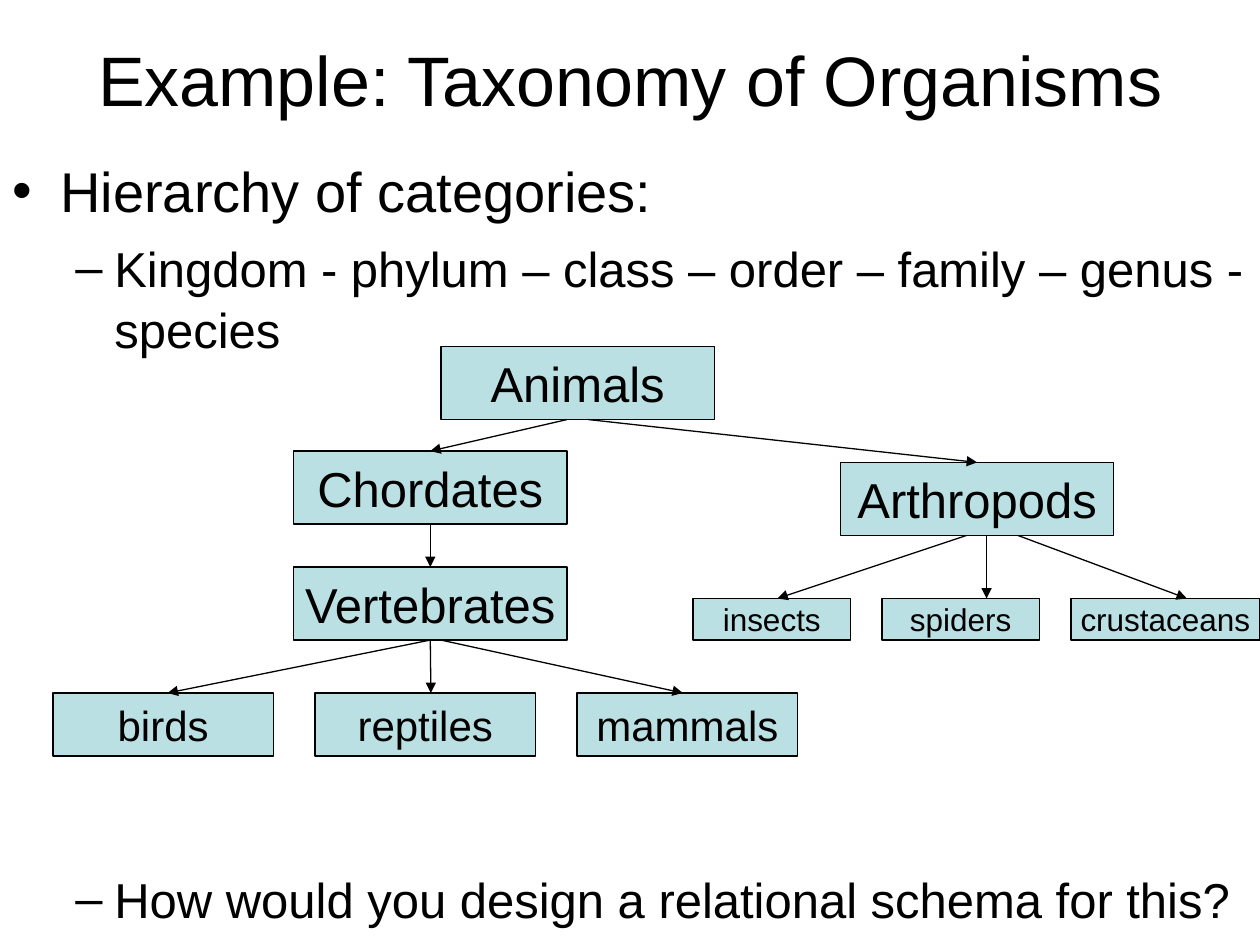
from lxml import etree
from pptx import Presentation
from pptx.dml.color import RGBColor
from pptx.enum.shapes import MSO_CONNECTOR, MSO_SHAPE
from pptx.enum.text import MSO_ANCHOR, PP_ALIGN
from pptx.oxml.ns import qn
from pptx.util import Inches, Pt

STRAIGHT = MSO_CONNECTOR.STRAIGHT
RECTANGLE = MSO_SHAPE.RECTANGLE
MIDDLE = MSO_ANCHOR.MIDDLE
CENTER, LEFT = PP_ALIGN.CENTER, PP_ALIGN.LEFT
TOP_SIDE, BOTTOM_SIDE = 0, 2
COLORS = {"text": "000000", "box": "BBE0E3", "line": "000000"}
FONT = "Arial"


def write_text(para, text, size, align=LEFT, bullet=None, margin=0, hanging=0,
               before=0, spacing=None):
    para.alignment = align
    para.space_before = Pt(before)
    if spacing:
        para.line_spacing = spacing
    span = para.add_run()
    span.text = text
    span.font.name = FONT
    span.font.size = Pt(size)
    span.font.color.rgb = RGBColor.from_string(COLORS["text"])
    if bullet:
        props = para._p.get_or_add_pPr()
        props.set("marL", str(Inches(margin)))
        props.set("indent", str(-Inches(hanging)))
        etree.SubElement(props, qn("a:buFont")).set("typeface", FONT)
        etree.SubElement(props, qn("a:buChar")).set("char", bullet)


deck = Presentation()
deck.slide_width, deck.slide_height = Inches(10), Inches(7.5)
page = deck.slides.add_slide(deck.slide_layouts[6])

title = page.shapes.add_textbox(Inches(0.5), Inches(0), Inches(9), Inches(1.25))
title.text_frame.word_wrap = True
title.text_frame.vertical_anchor = MIDDLE
write_text(title.text_frame.paragraphs[0], "Example: Taxonomy of Organisms",
           size=40, align=CENTER)

body = page.shapes.add_textbox(Inches(0), Inches(1.17), Inches(10), Inches(6.33))
body.text_frame.word_wrap = True
first = {"size": 32, "bullet": "•", "margin": 0.38, "hanging": 0.38, "before": 8}
second = {"size": 28, "bullet": "–", "margin": 0.81, "hanging": 0.31, "before": 7}
outline = [
    ("Hierarchy of categories:", first),
    ("Kingdom - phylum – class – order – family – genus - species", second),
    ("How would you design a relational schema for this?", {**second, "before": 291}),
]
for index, (text, style) in enumerate(outline):
    frame = body.text_frame
    para = frame.add_paragraph() if index else frame.paragraphs[0]
    write_text(para, text, spacing=1.04, **style)

large = (2.17, 0.58, 28)
medium = (1.75, 0.5, 24)
small = (1.25, 0.33, 18)
wide = (1.5, 0.33, 18)
taxa = [
    ("Animals", 3.5, 2.75, large),
    ("Chordates", 2.33, 3.58, large),
    ("Vertebrates", 2.33, 4.5, large),
    ("Arthropods", 6.67, 3.67, large),
    ("birds", 0.42, 5.5, medium),
    ("reptiles", 2.5, 5.5, medium),
    ("mammals", 4.58, 5.5, medium),
    ("insects", 5.5, 4.75, small),
    ("spiders", 7, 4.75, small),
    ("crustaceans", 8.5, 4.75, wide),
]
boxes = {}
for name, left, top, (width, height, size) in taxa:
    box = page.shapes.add_shape(RECTANGLE, Inches(left), Inches(top),
                                Inches(width), Inches(height))
    box.shadow.inherit = False
    box.fill.solid()
    box.fill.fore_color.rgb = RGBColor.from_string(COLORS["box"])
    box.line.color.rgb = RGBColor.from_string(COLORS["line"])
    box.line.width = Pt(0.75)
    box.text_frame.word_wrap = False
    box.text_frame.vertical_anchor = MIDDLE
    write_text(box.text_frame.paragraphs[0], name, size=size, align=CENTER)
    boxes[name] = box

arrows = [
    (4.5, 3.33, 3.42, 3.58, None, "Chordates"),
    (4.67, 3.33, 7.75, 3.67, None, "Arthropods"),
    (3.42, 4.17, 3.42, 4.5, "Chordates", "Vertebrates"),
    (3.42, 5.08, 1.33, 5.5, "Vertebrates", None),
    (3.42, 5.08, 3.42, 5.5, "Vertebrates", None),
    (3.5, 5.08, 5.42, 5.5, None, None),
    (7.67, 4.25, 6.17, 4.75, None, None),
    (7.83, 4.25, 7.83, 4.75, None, None),
    (8.08, 4.25, 9.42, 4.75, None, None),
]
for x1, y1, x2, y2, parent, child in arrows:
    arrow = page.shapes.add_connector(STRAIGHT, Inches(x1), Inches(y1),
                                      Inches(x2), Inches(y2))
    if parent:
        arrow.begin_connect(boxes[parent], BOTTOM_SIDE)
    if child:
        arrow.end_connect(boxes[child], TOP_SIDE)
    arrow.line.color.rgb = RGBColor.from_string(COLORS["line"])
    arrow.line.width = Pt(0.75)
    etree.SubElement(arrow.line._get_or_add_ln(), qn("a:tailEnd")).set("type", "triangle")
    etree.SubElement(arrow._element.spPr, qn("a:effectLst"))

deck.save("out.pptx")
